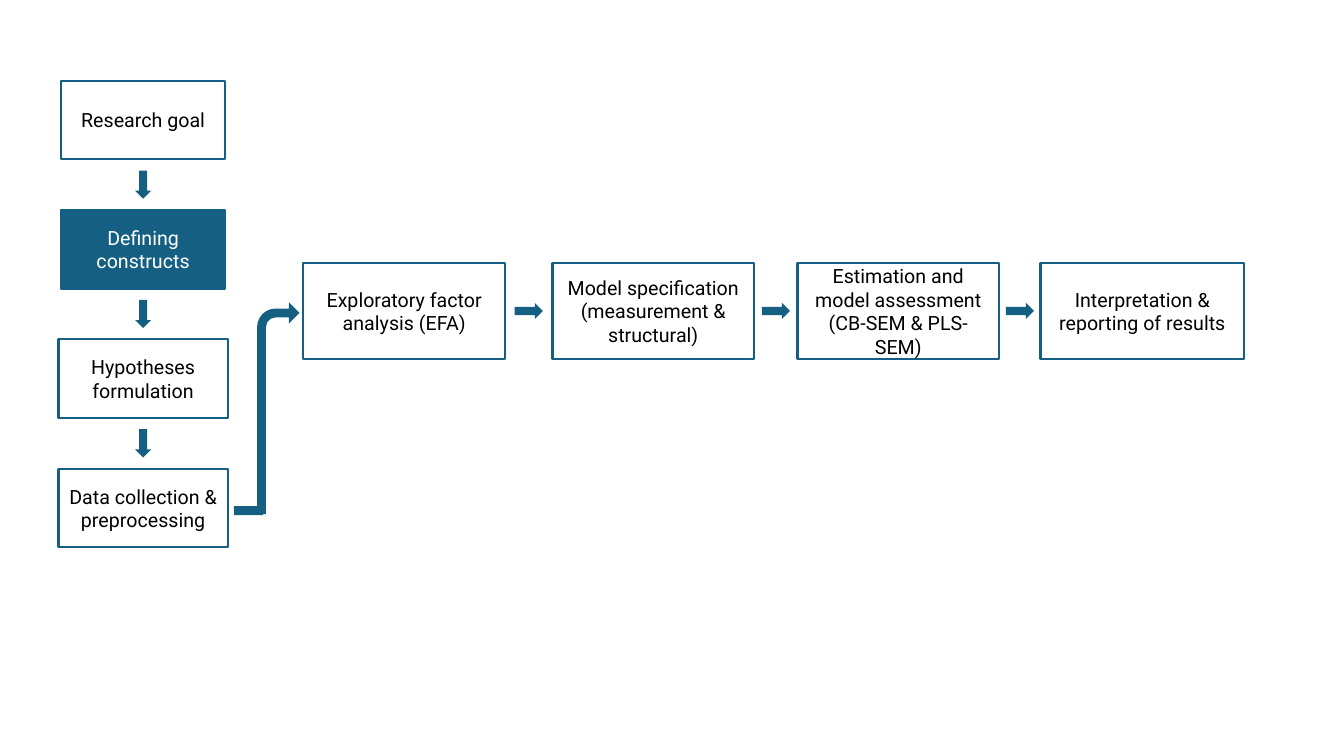
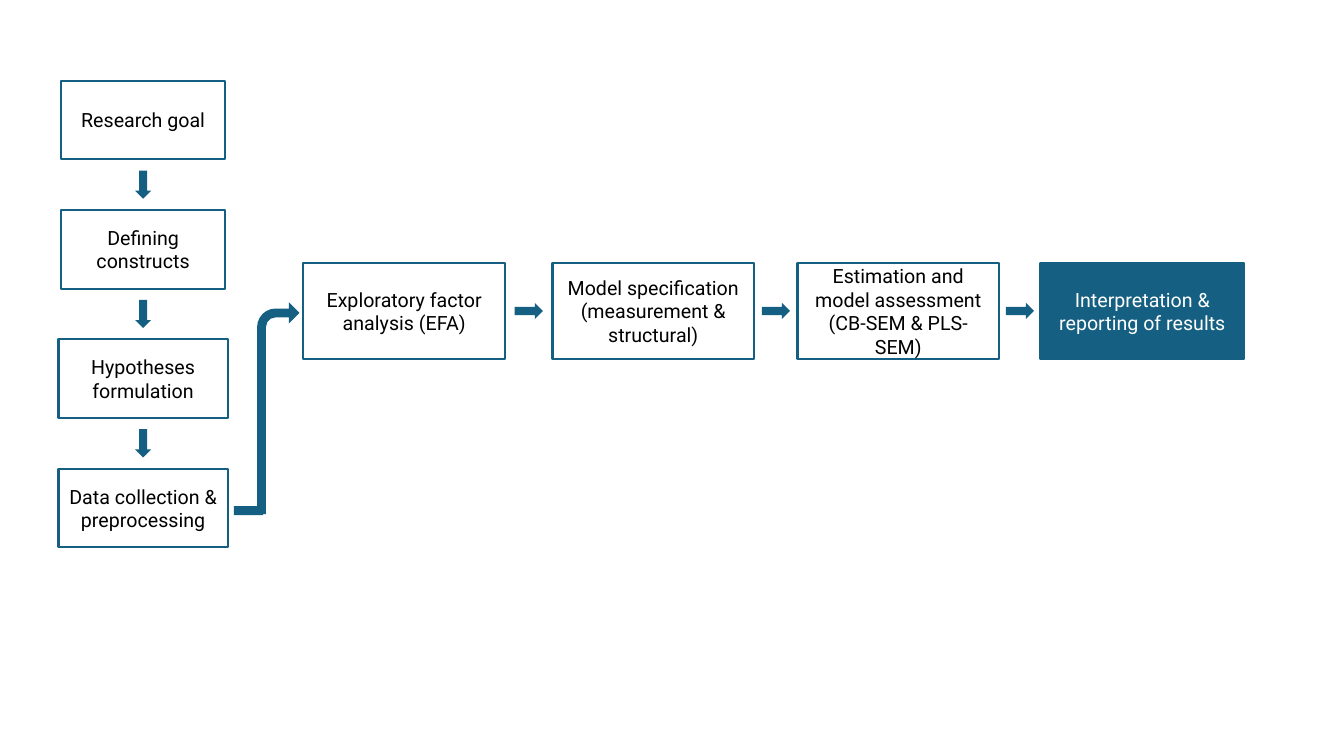
from dataclasses import dataclass

from pptx import Presentation
from pptx.dml.color import RGBColor
from pptx.enum.shapes import MSO_SHAPE
from pptx.enum.text import MSO_ANCHOR, PP_ALIGN
from pptx.util import Inches, Pt

RECT = MSO_SHAPE.RECTANGLE
DOWN_ARROW = MSO_SHAPE.DOWN_ARROW
BENT_ARROW = MSO_SHAPE.BENT_ARROW
MIDDLE = MSO_ANCHOR.MIDDLE
CENTER = PP_ALIGN.CENTER


@dataclass(frozen=True)
class Theme:
    accent: RGBColor = RGBColor.from_string("156082")
    paper: RGBColor = RGBColor.from_string("FFFFFF")
    ink: RGBColor = RGBColor.from_string("000000")
    font: str = "Roboto"
    size: int = 14
    border: float = 1.5


THEME = Theme()
SLIDE_W, SLIDE_H = 13.33, 7.5

PREPARATION = [
    ("Research goal", 1.63),
    ("Defining constructs", 1.63),
    ("Hypotheses formulation", 1.68),
    ("Data collection & preprocessing", 1.68),
]
ANALYSIS = [
    ("Exploratory factor analysis (EFA)", 3.01, 2),
    ("Model specification (measurement & structural)", 5.48, 2),
    ("Estimation and model assessment (CB-SEM & PLS-SEM)", 7.91, 2),
    ("Interpretation & reporting of results", 10.32, 2.02),
]
HIGHLIGHTS = ["Defining constructs", "Interpretation & reporting of results"]

COLUMN_CENTER, COLUMN_TOP, COLUMN_BOTTOM = 1.42, 0.8, 5.43
COLUMN_BOX_H = 0.78
COLUMN_PITCH = (COLUMN_BOTTOM - COLUMN_TOP - COLUMN_BOX_H) / (len(PREPARATION) - 1)
ROW_TOP, ROW_BOX_H = 2.61, 0.95
ARROW_W, ARROW_H = 0.16, 0.28
ELBOW = (2.55, 3, 0.42, 2.1)
ELBOW_ADJUST = (0.209, 0.25, 0.25, 0.438)
ELBOW_TAIL = (2.32, 5.02, 0.29, 0.09)


def add_solid(slide, kind, box, fill=THEME.accent):
    sp = slide.shapes.add_shape(kind, *map(Inches, box))
    sp.shadow.inherit = False
    sp.fill.solid()
    sp.fill.fore_color.rgb = fill
    sp.line.fill.background()
    return sp


def add_step(slide, text, box, highlighted):
    sp = add_solid(slide, RECT, box, THEME.accent if highlighted else THEME.paper)
    sp.line.color.rgb = THEME.accent
    sp.line.width = Pt(THEME.border)
    tf = sp.text_frame
    tf.word_wrap = True
    tf.vertical_anchor = MIDDLE
    tf.text = text
    p = tf.paragraphs[0]
    p.alignment = CENTER
    font = p.runs[0].font
    font.name = THEME.font
    font.size = Pt(THEME.size)
    font.color.rgb = THEME.paper if highlighted else THEME.ink


def add_arrow(slide, x, y, rotation=0):
    box = (x - ARROW_W / 2, y - ARROW_H / 2, ARROW_W, ARROW_H)
    add_solid(slide, DOWN_ARROW, box).rotation = rotation


def column_boxes():
    return [
        (text, (COLUMN_CENTER - w / 2, COLUMN_TOP + i * COLUMN_PITCH, w, COLUMN_BOX_H))
        for i, (text, w) in enumerate(PREPARATION)
    ]


def row_boxes():
    return [(text, (x, ROW_TOP, w, ROW_BOX_H)) for text, x, w in ANALYSIS]


def add_elbow(slide):
    sp = add_solid(slide, BENT_ARROW, ELBOW)
    for i, value in enumerate(ELBOW_ADJUST):
        sp.adjustments[i] = value
    add_solid(slide, RECT, ELBOW_TAIL)


def build_slide(prs, highlight):
    slide = prs.slides.add_slide(prs.slide_layouts[6])
    column, row = column_boxes(), row_boxes()
    for text, box in column + row:
        add_step(slide, text, box, text == highlight)
    for (_, above), (_, below) in zip(column, column[1:]):
        add_arrow(slide, COLUMN_CENTER, (above[1] + above[3] + below[1]) / 2)
    add_elbow(slide)
    for (_, left), (_, right) in zip(row, row[1:]):
        gap_center = (left[0] + left[2] + right[0]) / 2
        add_arrow(slide, gap_center, ROW_TOP + ROW_BOX_H / 2, 270)


def main():
    prs = Presentation()
    prs.slide_width, prs.slide_height = Inches(SLIDE_W), Inches(SLIDE_H)
    for highlight in HIGHLIGHTS:
        build_slide(prs, highlight)
    prs.save("out.pptx")


if __name__ == "__main__":
    main()
